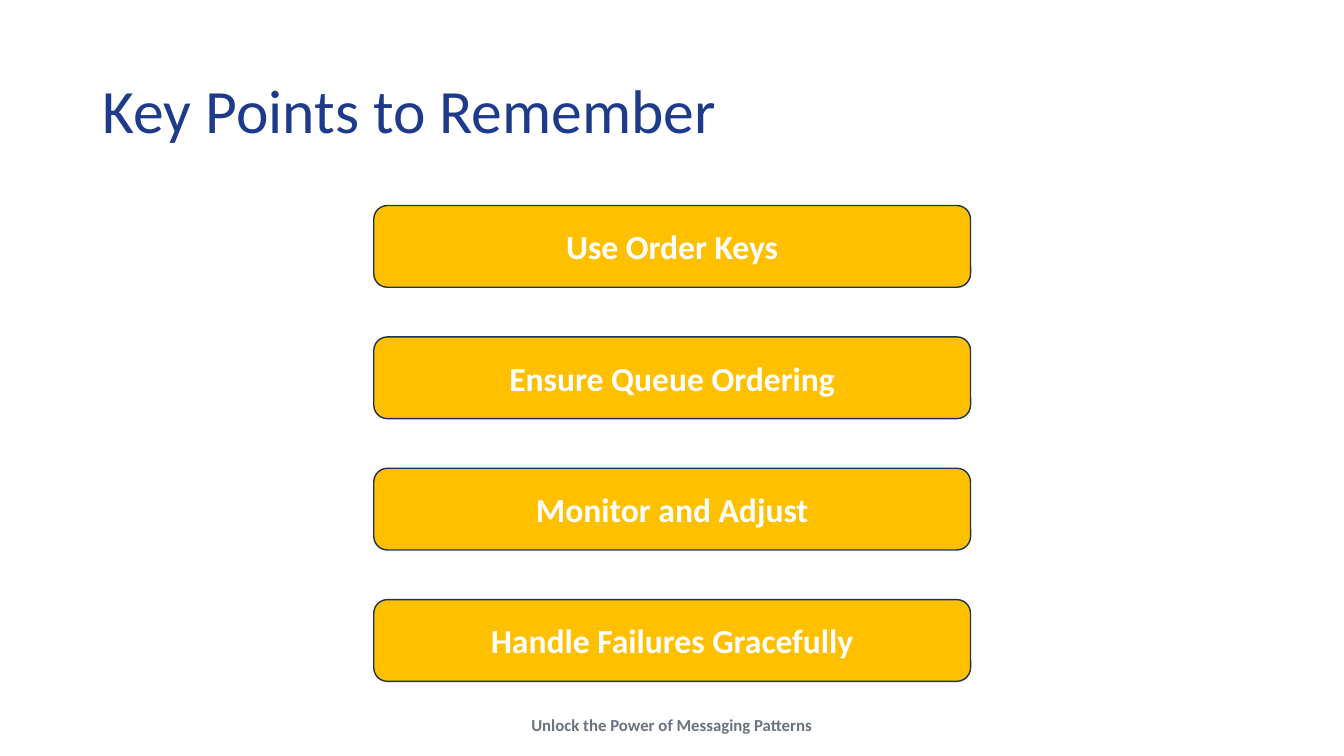
"""Build the key points slide: a title, a column of rounded boxes and a footer."""
from dataclasses import dataclass

from pptx import Presentation
from pptx.dml.color import RGBColor
from pptx.enum.shapes import MSO_SHAPE
from pptx.enum.text import MSO_ANCHOR, PP_ALIGN
from pptx.util import Cm, Pt

ROUNDED = MSO_SHAPE.ROUNDED_RECTANGLE
MIDDLE = MSO_ANCHOR.MIDDLE
LEFT, CENTER = PP_ALIGN.LEFT, PP_ALIGN.CENTER

NAVY = RGBColor(0x1E, 0x3A, 0x8A)
OUTLINE = RGBColor(0x1E, 0x32, 0x56)
AMBER = RGBColor(0xFF, 0xC0, 0x00)
WHITE = RGBColor(0xFF, 0xFF, 0xFF)
GRAY = RGBColor(0x6B, 0x72, 0x80)

FONT = "Calibri"
BOX_LEFT, BOX_TOP, BOX_WIDTH, BOX_HEIGHT = 9.42, 5.18, 15.04, 2.06
BOX_PITCH = 3.31


@dataclass(frozen=True)
class TextStyle:
    size: int
    color: RGBColor
    bold: bool
    align: PP_ALIGN


@dataclass(frozen=True)
class KeyPoint:
    text: str
    row: int


TITLE = TextStyle(44, NAVY, False, LEFT)
POINT = TextStyle(24, WHITE, True, CENTER)
FOOTER = TextStyle(12, GRAY, True, CENTER)

LABELS = (
    "Use Order Keys",
    "Ensure Queue Ordering",
    "Monitor and Adjust",
    "Handle Failures Gracefully",
)
KEY_POINTS = [KeyPoint(label, row) for row, label in enumerate(LABELS)]


def write(tf, text: str, style: TextStyle) -> None:
    tf.text = text
    p = tf.paragraphs[0]
    p.alignment = style.align
    font = p.runs[0].font
    font.name, font.size, font.bold = FONT, Pt(style.size), style.bold
    font.color.rgb = style.color


def add_title(s, text: str) -> None:
    sp = s.shapes.title
    sp.left, sp.top, sp.width, sp.height = Cm(2.33), Cm(1.02), Cm(29.21), Cm(3.68)
    tf = sp.text_frame
    tf.vertical_anchor = MIDDLE
    write(tf, text, TITLE)
    tf.paragraphs[0].line_spacing = 0.9


def add_key_point(s, point: KeyPoint) -> None:
    top = BOX_TOP + point.row * BOX_PITCH
    sp = s.shapes.add_shape(ROUNDED, Cm(BOX_LEFT), Cm(top), Cm(BOX_WIDTH), Cm(BOX_HEIGHT))
    sp.shadow.inherit = False
    sp.fill.solid()
    sp.fill.fore_color.rgb = AMBER
    sp.line.color.rgb = OUTLINE
    sp.line.width = Pt(1)
    sp.text_frame.vertical_anchor = MIDDLE
    write(sp.text_frame, point.text, POINT)


def add_footer(s, text: str) -> None:
    sp = s.shapes.add_textbox(Cm(13.08), Cm(17.88), Cm(7.7), Cm(0.76))
    write(sp.text_frame, text, FOOTER)


def main() -> None:
    prs = Presentation()
    prs.slide_width, prs.slide_height = Cm(33.87), Cm(19.05)
    s = prs.slides.add_slide(prs.slide_layouts[5])
    add_footer(s, "Unlock the Power of Messaging Patterns")
    add_title(s, "Key Points to Remember")
    for point in KEY_POINTS:
        add_key_point(s, point)
    prs.save("out.pptx")


if __name__ == "__main__":
    main()
